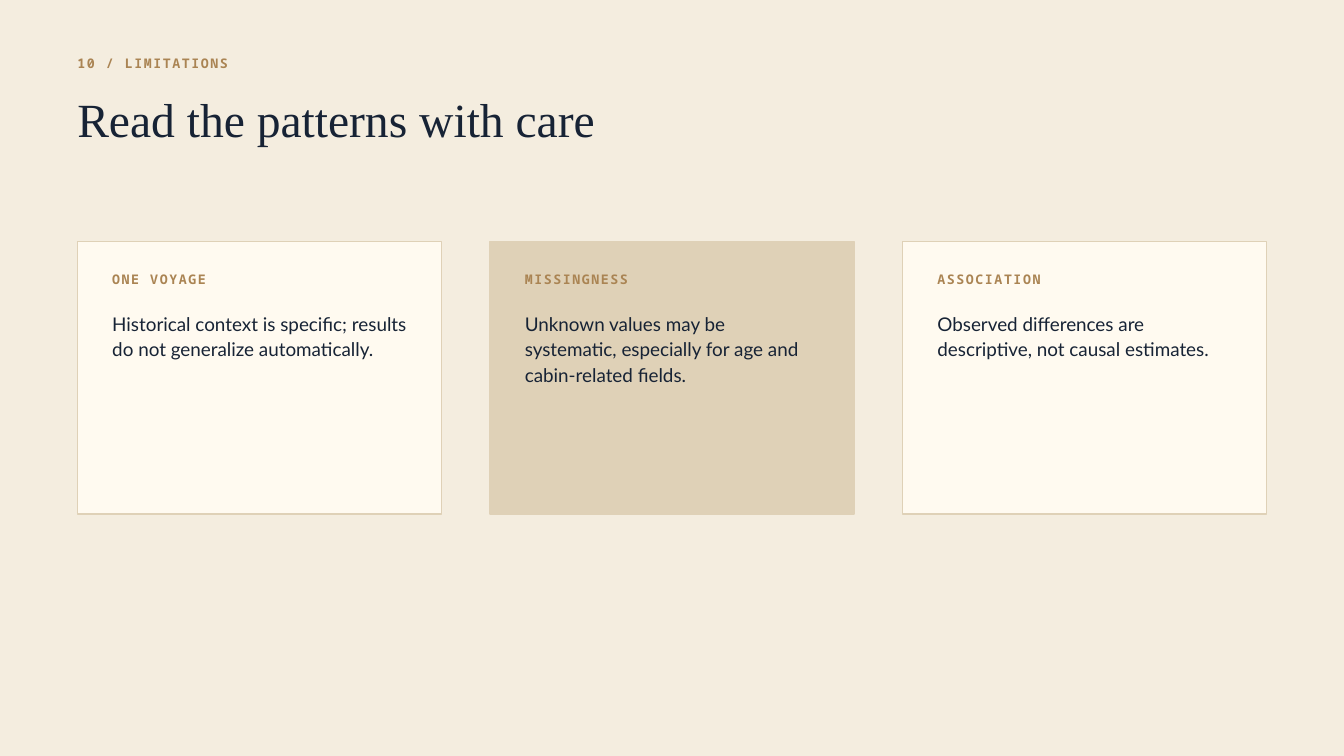
from pptx import Presentation
from pptx import util as u
from pptx.dml.color import RGBColor
from pptx.enum import shapes, text

SECTION = "10 / LIMITATIONS"
TITLE = "Read the patterns with care"
CARDS = [
    ("ONE VOYAGE", "Historical context is specific; results do not generalize automatically.", "paper"),
    ("MISSINGNESS", "Unknown values may be systematic, especially for age and cabin-related fields.", "sand"),
    ("ASSOCIATION", "Observed differences are descriptive, not causal estimates.", "paper"),
]

THEME = {
    "colors": {
        "background": "F4EDDF",
        "paper": "FFFAF0",
        "sand": "DFD1B7",
        "accent": "AA8453",
        "ink": "172335",
    },
    "styles": {
        "label": {"name": "Noto Sans Mono", "size": 14.2, "bold": True, "color": "accent", "leading": 19.9, "tracking": 1.7},
        "title": {"name": "Times New Roman", "size": 51, "bold": False, "color": "ink", "leading": 53.5, "tracking": 0},
        "body": {"name": "Lato", "size": 20.2, "bold": False, "color": "ink", "leading": 27.3, "tracking": 0},
    },
    "border": 1.5,
}

SLIDE_WIDTH, SLIDE_HEIGHT = 20, 11.25
MARGIN = 1.15
CARD_TOP, CARD_WIDTH, CARD_HEIGHT = 3.59, 5.42, 4.06
CARD_GAP = (SLIDE_WIDTH - 2 * MARGIN - len(CARDS) * CARD_WIDTH) / (len(CARDS) - 1)
CARD_PADDING = 0.52
LABEL_OFFSET, BODY_OFFSET = 0.4, 1.02


def color(name):
    return RGBColor.from_string(THEME["colors"][name])


def apply(target, values):
    for name, value in values.items():
        setattr(target, name, value)


def place(shape, left, top, width, height):
    box = {"left": left, "top": top, "width": width, "height": height}
    apply(shape, {name: u.Inches(value) for name, value in box.items()})


def write(shape, content, style_name):
    style = THEME["styles"][style_name]
    frame = shape.text_frame
    apply(frame, {
        "margin_left": 0, "margin_right": 0, "margin_top": 0, "margin_bottom": 0,
        "word_wrap": True,
        "auto_size": text.MSO_AUTO_SIZE.NONE,
        "vertical_anchor": text.MSO_ANCHOR.TOP,
    })
    paragraph = frame.paragraphs[0]
    apply(paragraph, {
        "alignment": text.PP_ALIGN.LEFT,
        "line_spacing": u.Pt(style["leading"]),
    })
    run = paragraph.add_run()
    run.text = content
    apply(run.font, {"name": style["name"], "size": u.Pt(style["size"]), "bold": style["bold"]})
    run.font.color.rgb = color(style["color"])
    if style["tracking"]:
        run._r.get_or_add_rPr().set("spc", str(round(style["tracking"] * 100)))


def add_text(slide, content, style_name, left, top, width, height):
    shape = slide.shapes.add_textbox(0, 0, 0, 0)
    place(shape, left, top, width, height)
    write(shape, content, style_name)


def add_card(slide, left, label, body, fill):
    card = slide.shapes.add_shape(shapes.MSO_SHAPE.RECTANGLE, 0, 0, 0, 0)
    place(card, left, CARD_TOP, CARD_WIDTH, CARD_HEIGHT)
    card.shadow.inherit = False
    card.fill.solid()
    card.fill.fore_color.rgb = color(fill)
    card.line.color.rgb = color("sand")
    card.line.width = u.Pt(THEME["border"])
    text_left = left + CARD_PADDING
    text_width = CARD_WIDTH - 2 * CARD_PADDING
    add_text(slide, label, "label", text_left, CARD_TOP + LABEL_OFFSET, text_width, 0.25)
    add_text(slide, body, "body", text_left, CARD_TOP + BODY_OFFSET, text_width, 1.11)


def main():
    presentation = Presentation()
    presentation.slide_width = u.Inches(SLIDE_WIDTH)
    presentation.slide_height = u.Inches(SLIDE_HEIGHT)
    slide = presentation.slides.add_slide(presentation.slide_layouts.get_by_name("Title Only"))
    slide.background.fill.solid()
    slide.background.fill.fore_color.rgb = color("background")

    add_text(slide, SECTION, "label", MARGIN, 0.78, 6.25, 0.26)
    place(slide.shapes.title, MARGIN, 1.45, 12.5, 0.77)
    write(slide.shapes.title, TITLE, "title")
    for index, (label, body, fill) in enumerate(CARDS):
        add_card(slide, MARGIN + index * (CARD_WIDTH + CARD_GAP), label, body, fill)

    presentation.save("out.pptx")


if __name__ == "__main__":
    main()
